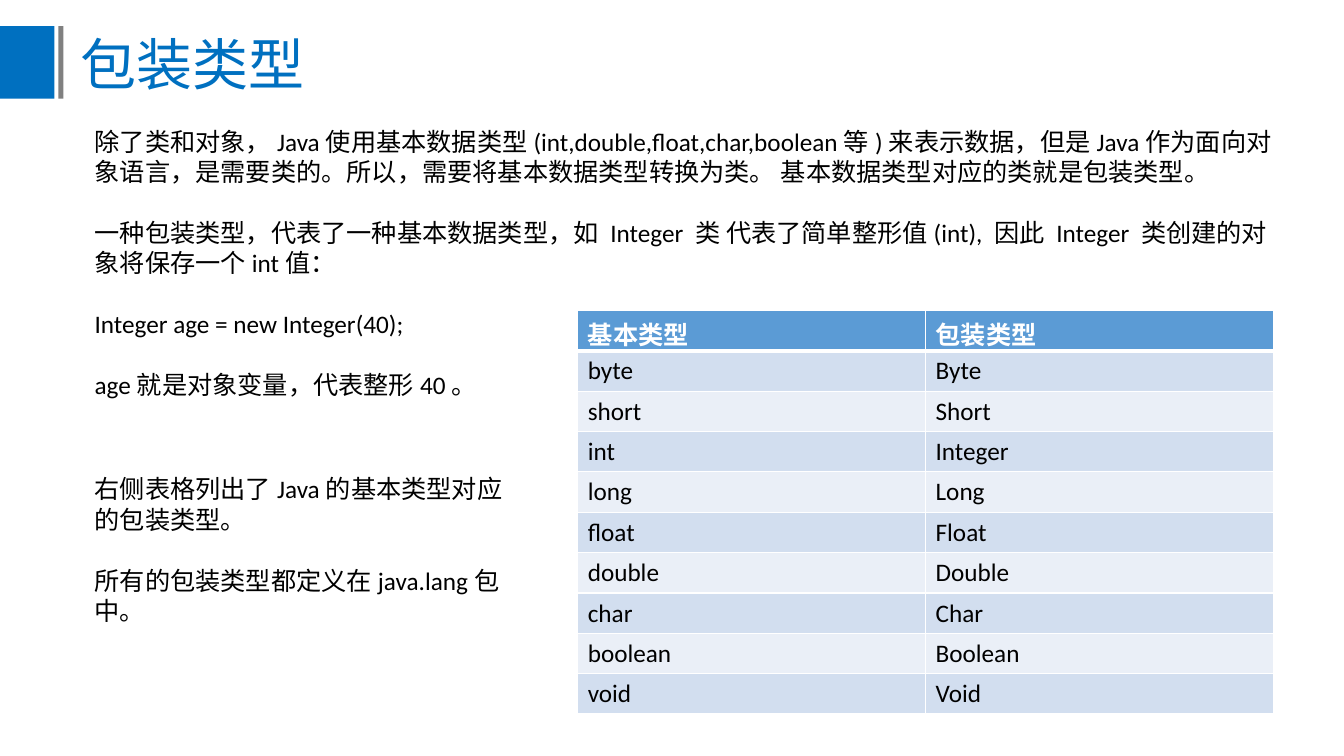
from lxml.etree import SubElement
from pptx import Presentation
from pptx.dml.color import RGBColor
from pptx.enum.shapes import MSO_SHAPE as Shape
from pptx.enum.text import MSO_AUTO_SIZE as AutoSize
from pptx.oxml.ns import qn
from pptx.util import Pt

PX = 9144  # one px is a hundredth of an inch


def color(value):
    return RGBColor.from_string(value)


class SlideBuilder:
    blue, grey, black, white = "0070C0", "808080", "000000", "FFFFFF"
    header_fill, bands = "5B9BD5", ("D2DEEF", "EAEFF7")
    title_font, body_font = "Noto Sans CJK SC", "Calibri"
    title_size, body_size = 40, 18
    paragraph_gap = 22

    def __init__(self, presentation):
        self.slide = presentation.slides.add_slide(presentation.slide_layouts[6])

    def run(self, paragraph, text, font=body_font, size=body_size,
            fill=black, bold=False):
        run = paragraph.add_run()
        run.text = text
        run.font.name = font
        run.font.size = Pt(size)
        run.font.bold = bold
        run.font.color.rgb = color(fill)

    def text(self, box, paragraphs, wrap=True, **style):
        """Each paragraph is (lines of space before it, text)."""
        shape = self.slide.shapes.add_textbox(*(n * PX for n in box))
        frame = shape.text_frame
        frame.word_wrap = wrap
        frame.auto_size = AutoSize.SHAPE_TO_FIT_TEXT
        for index, (gap, content) in enumerate(paragraphs):
            paragraph = frame.add_paragraph() if index else frame.paragraphs[0]
            paragraph.space_before = Pt(gap * self.paragraph_gap)
            self.run(paragraph, content, **style)

    def bar(self, box, fill):
        shape = self.slide.shapes.add_shape(
            Shape.RECTANGLE, *(n * PX for n in box))
        shape.shadow.inherit = False
        shape.fill.solid()
        shape.fill.fore_color.rgb = color(fill)
        shape.line.fill.background()

    def border(self, cell, side, width):
        line = SubElement(cell._tc.get_or_add_tcPr(), qn("a:ln" + side),
                          w=str(Pt(width)))
        fill = SubElement(line, qn("a:solidFill"))
        SubElement(fill, qn("a:srgbClr"), val=self.white)

    def table(self, box, rows):
        table = self.slide.shapes.add_table(
            len(rows), len(rows[0]), *(n * PX for n in box)).table
        for row, texts in enumerate(rows):
            header = row == 0
            widths = {"L": 1, "R": 1, "T": 3 if row == 1 else 1,
                      "B": 3 if header else 1}
            for column, content in enumerate(texts):
                cell = table.cell(row, column)
                for side, width in widths.items():
                    self.border(cell, side, width)
                cell.fill.solid()
                cell.fill.fore_color.rgb = color(
                    self.header_fill if header else self.bands[(row - 1) % 2])
                self.run(cell.text_frame.paragraphs[0], content, bold=header,
                         fill=self.white if header else self.black)


def main():
    presentation = Presentation()
    presentation.slide_width = 1333 * PX
    presentation.slide_height = 750 * PX
    builder = SlideBuilder(presentation)

    # Title with its two bars
    builder.text((70, 24, 242, 77), [(0, "包装类型")], wrap=False,
                 font=builder.title_font, size=builder.title_size,
                 fill=builder.blue)
    builder.bar((0, 26, 54, 72), builder.blue)
    builder.bar((58, 26, 5, 72), builder.grey)

    # Explanation
    builder.text((84, 120, 1206, 283), [
        (0, "除了类和对象，Java使用基本数据类型(int,double,float,char,boolean等)"
            "来表示数据，但是Java作为面向对象语言，是需要类的。"
            "所以，需要将基本数据类型转换为类。 基本数据类型对应的类就是包装类型。"),
        (1, "一种包装类型，代表了一种基本数据类型，如 Integer 类 "
            "代表了简单整形值(int), 因此 Integer 类创建的对象将保存一个int值："),
        (1, "Integer age = new Integer(40);"),
        (1, "age就是对象变量，代表整形40。"),
    ])

    # Primitive types and their wrappers
    primitives = ["byte", "short", "int", "long", "float", "double", "char",
                  "boolean", "void"]
    wrappers = {"int": "Integer"}
    builder.table((573, 308, 690, 367), [("基本类型", "包装类型")] + [
        (name, wrappers.get(name, name.capitalize())) for name in primitives])

    # Note on the table
    builder.text((84, 465, 446, 192), [
        (0, "右侧表格列出了Java的基本类型对应的包装类型。"),
        (1, "所有的包装类型都定义在java.lang包中。"),
    ])

    presentation.save("out.pptx")


if __name__ == "__main__":
    main()
